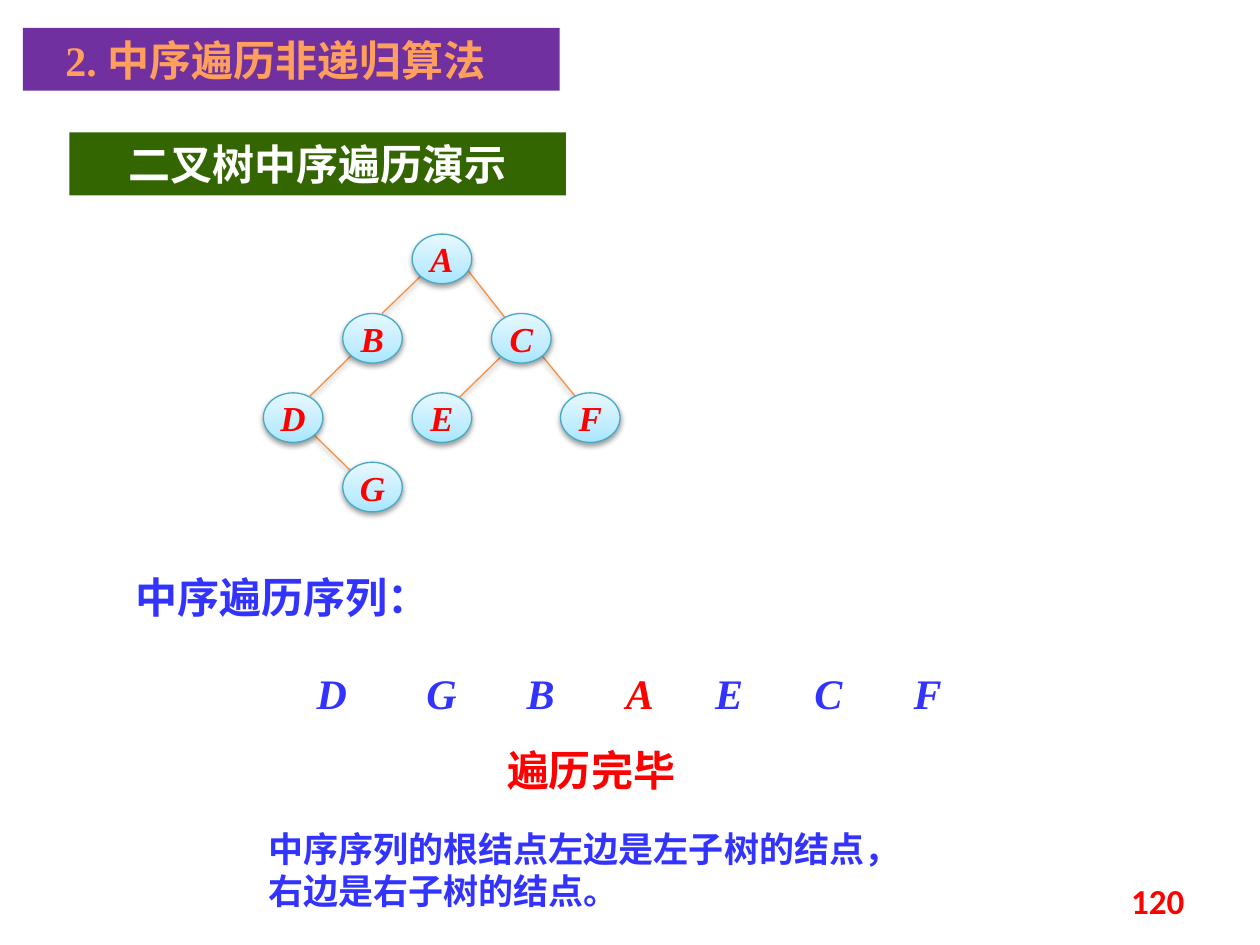
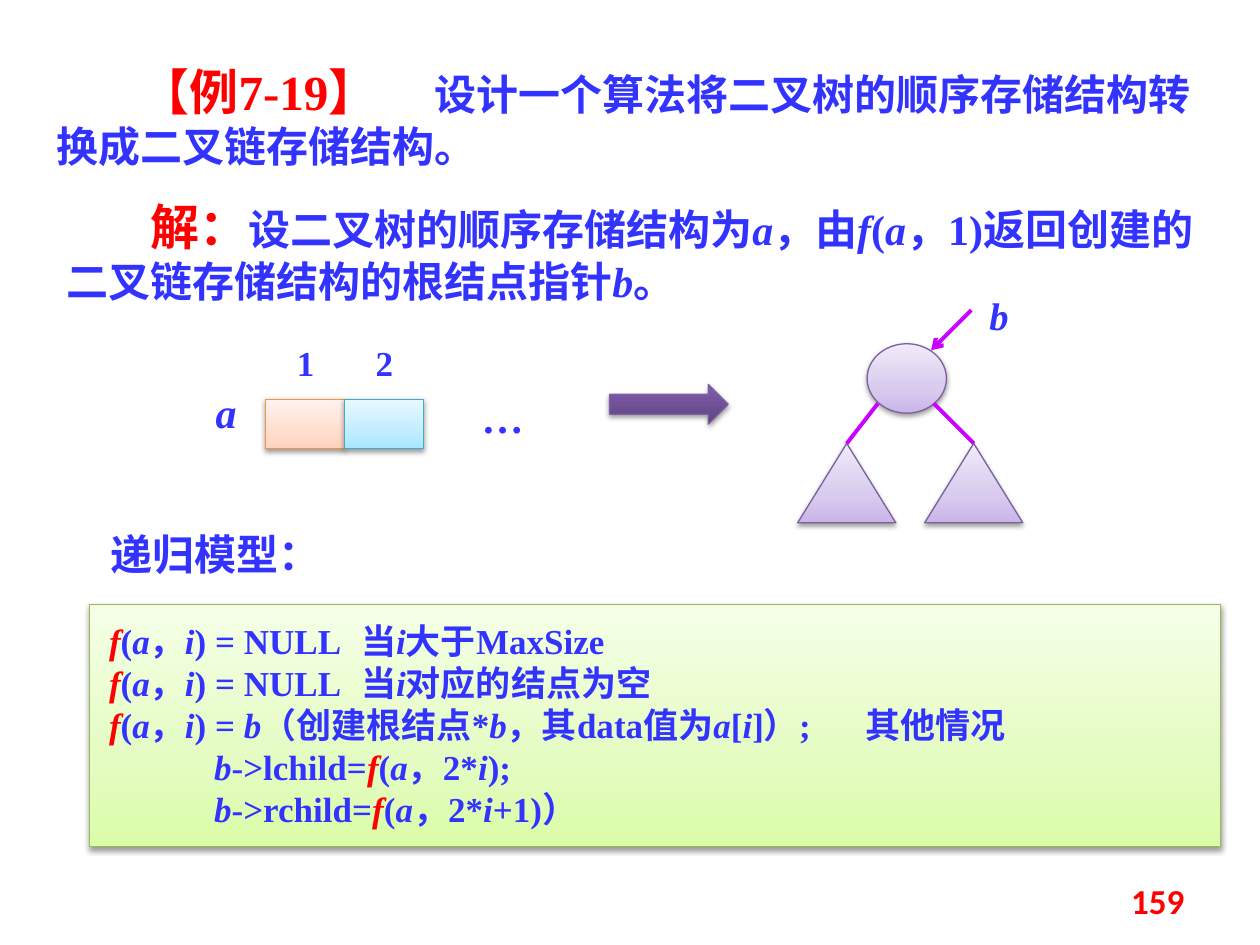
import dataclasses

import lxml.etree
import pptx
import pptx.dml.color
import pptx.enum.dml
import pptx.enum.shapes
import pptx.enum.text
import pptx.oxml.ns
import pptx.util

Cm = pptx.util.Cm
Pt = pptx.util.Pt
qn = pptx.oxml.ns.qn
Align = pptx.enum.text.PP_ALIGN
Anchor = pptx.enum.text.MSO_ANCHOR
Preset = pptx.enum.shapes.MSO_SHAPE

LATIN = "Times New Roman"
CHINESE = "Noto Sans CJK SC"
BLUE, RED, WHITE = "3333FF", "FF0000", "FFFFFF"
PURPLE, GREEN, MAGENTA, ORANGE = "7030A0", "336600", "CC00FF", "F69240"
TITLE_GLOW = [(0, "FFA367"), (25, "FF9F5D"), (50, "F38E3A"), (75, "FF9F5D"), (100, "FFA367")]
PEACH_LOOK = ([(0, "FFD2BD"), (35, "FFDED0"), (100, "FFF2ED")], ORANGE)
SKY_LOOK = ([(0, "A7E6FF"), (35, "C1EDFF"), (100, "E7F8FF")], "46AAC5")
LILAC_LOOK = ([(0, "C9B5E8"), (35, "D8CBEE"), (100, "F0EAF9")], "7D60A0")
LIME_LOOK = ([(0, "DAFDA7"), (35, "E4FCC2"), (100, "F5FFE7")], "98B955")
VIOLET_LOOK = ([(0, "5F4480"), (80, "7B58A6"), (100, "7C57A8")], "7D60A0")


@dataclasses.dataclass
class Span:
    text: str
    size: float = 24
    color: object = BLUE
    font: str = LATIN
    italic: bool = False
    bold: bool = True


def rgb(value):
    return pptx.dml.color.RGBColor.from_string(value)


def child(parent, tag, **attributes):
    element = lxml.etree.SubElement(parent, qn(tag))
    for name, value in attributes.items():
        element.set(name, str(value))
    return element


def paint_gradient(fill, owner, stops, angle):
    fill.gradient()
    fill.gradient_angle = angle
    stop_list = owner.find(".//" + qn("a:gsLst"))
    for stop in list(stop_list):
        stop_list.remove(stop)
    for position, color in stops:
        stop = child(stop_list, "a:gs", pos=position * 1000)
        child(stop, "a:srgbClr", val=color)


def add_shadow(effects):
    shadow = child(effects, "a:outerShdw", blurRad=Pt(3.1), dist=Pt(1.6),
                   dir=5400000, rotWithShape=0)
    child(child(shadow, "a:srgbClr", val="000000"), "a:alpha", val=38000)


def formula(pieces, size=24, f_color=BLUE):
    return [Span(piece, size, f_color if piece == "f" else BLUE,
                 italic=piece in ("a", "b", "f", "i")) for piece in pieces]


class Lecture:
    def __init__(self):
        self.deck = pptx.Presentation()
        self.deck.slide_width = Cm(25.4)
        self.deck.slide_height = Cm(19.05)
        self.page = None

    def new_page(self, number):
        self.page = self.deck.slides.add_slide(self.deck.slide_layouts[5])
        self.text((18.21, 17.65, 5.92, 1.02), [[Span(number, 20, RED, "Calibri")]],
                  align=Align.RIGHT, anchor=Anchor.MIDDLE)

    def set_text(self, shape, paragraphs, align=Align.LEFT, anchor=Anchor.TOP, wrap=True,
                 first_indent=0, tabs=()):
        frame = shape.text_frame
        frame.word_wrap = wrap
        frame.auto_size = pptx.enum.text.MSO_AUTO_SIZE.NONE
        frame.vertical_anchor = anchor
        for index, spans in enumerate(paragraphs):
            para = frame.paragraphs[0] if index == 0 else frame.add_paragraph()
            para.alignment = align
            properties = para._p.get_or_add_pPr()
            properties.set("marL", "0")
            properties.set("indent", str(Pt(first_indent)))
            if tabs:
                tab_list = child(properties, "a:tabLst")
                for tab in tabs:
                    child(tab_list, "a:tab", pos=Cm(tab), algn="l")
            for span in spans:
                self.add_span(para, span)
        return frame

    def add_span(self, para, span):
        run = para.add_run()
        run.text = span.text
        run.font.size = Pt(span.size)
        run.font.bold = span.bold
        run.font.italic = span.italic
        run.font.name = span.font
        if isinstance(span.color, str):
            run.font.color.rgb = rgb(span.color)
        else:
            paint_gradient(run.font.fill, run._r, span.color, 270)
        latin = run._r.find(".//" + qn("a:latin"))
        east = lxml.etree.Element(qn("a:ea"))
        east.set("typeface", CHINESE)
        latin.addnext(east)

    def title(self, place, spans, fill=None, **layout):
        box = self.page.shapes.title
        box.left, box.top, box.width, box.height = map(Cm, place)
        if fill:
            box.fill.solid()
            box.fill.fore_color.rgb = rgb(fill)
        return self.set_text(box, [spans], **layout)

    def text(self, place, paragraphs, **layout):
        box = self.page.shapes.add_textbox(*map(Cm, place))
        self.set_text(box, paragraphs, **layout)

    def label(self, place, span):
        self.text(place, [[span]], align=Align.CENTER)

    def band(self, place, span, fill):
        box = self.page.shapes.add_shape(Preset.RECTANGLE, *map(Cm, place))
        box.shadow.inherit = False
        box.fill.solid()
        box.fill.fore_color.rgb = rgb(fill)
        box.line.fill.background()
        self.set_text(box, [[span]], align=Align.CENTER)

    def glossy(self, preset, place, look):
        stops, line_color = look
        shape = self.page.shapes.add_shape(preset, *map(Cm, place))
        shape.shadow.inherit = False
        paint_gradient(shape.fill, shape._element.spPr, stops, 90)
        shape.line.color.rgb = rgb(line_color)
        shape.line.width = Pt(0.75)
        add_shadow(shape._element.spPr.find(qn("a:effectLst")))
        return shape

    def line(self, start, end, color, width, shadow=False, arrow=False):
        connector = self.page.shapes.add_connector(
            pptx.enum.shapes.MSO_CONNECTOR.STRAIGHT, *map(Cm, start + end))
        connector.line.color.rgb = rgb(color)
        connector.line.width = Pt(width)
        properties = connector._element.spPr
        if arrow:
            child(properties.find(qn("a:ln")), "a:tailEnd", type="arrow")
        effects = child(properties, "a:effectLst")
        if shadow:
            add_shadow(effects)
        return connector


def traversal_page(lecture):
    lecture.new_page("120")
    frame = lecture.title((0.46, 0.56, 10.82, 1.27),
                          [Span("2. 中序遍历非递归算法", color=TITLE_GLOW)],
                          fill=PURPLE, align=Align.CENTER)
    frame.margin_right = Cm(0.89)
    lecture.band((1.4, 2.67, 10.01, 1.27),
                 Span("二叉树中序遍历演示", color=WHITE, font=CHINESE), GREEN)

    edges = [
        ((8.51, 5.54), (7.7, 6.32)),
        ((9.4, 5.41), (10.24, 6.48)),
        ((7.11, 7.14), (6.1, 8.13)),
        ((10.08, 7.21), (9.27, 8)),
        ((10.9, 7.14), (11.71, 8.13)),
        ((6.3, 8.74), (7.11, 9.53)),
    ]
    for start, end in edges:
        lecture.line(start, end, ORANGE, 0.75, shadow=True)

    nodes = {"A": (8.31, 4.72), "B": (6.91, 6.32), "C": (9.91, 6.32), "D": (5.31, 7.92),
             "E": (8.31, 7.92), "F": (11.3, 7.92), "G": (6.91, 9.32)}
    for name, corner in nodes.items():
        node = lecture.glossy(Preset.OVAL, corner + (1.2, 1), SKY_LOOK)
        lecture.set_text(node, [[Span(name, 20, RED, italic=True)]], align=Align.CENTER,
                         anchor=Anchor.MIDDLE, wrap=False)

    lecture.text((2.49, 11.4, 7.21, 1.27), [[Span("中序遍历序列：", font=CHINESE)]])
    visited = zip("DGBAECF", (5.69, 7.9, 9.9, 11.9, 13.7, 15.7, 17.7))
    for name, left in visited:
        color = RED if name == "A" else BLUE
        lecture.label((left, 13.34, 2, 1.27), Span(name, color=color, italic=True))
    lecture.label((8.51, 14.88, 6.81, 1.27), Span("遍历完毕", color=RED, font=CHINESE))
    remarks = ("中序序列的根结点左边是左子树的结点，", "右边是右子树的结点。")
    lecture.text((5.16, 16.56, 16.46, 1.96),
                 [[Span(remark, 20, font=CHINESE)] for remark in remarks])


def conversion_page(lecture):
    lecture.new_page("159")
    lecture.title((0.89, 1.12, 23.52, 2.49),
                  [Span("【例7-19】", 28, RED),
                   Span("\t设计一个算法将二叉树的顺序存储结构转换成二叉链存储结构。")],
                  first_indent=48, tabs=[7.4])
    solution = formula(["设二叉树的顺序存储结构为", "a", "，由", "f", "(", "a",
                        "，1)返回创建的二叉链存储结构的根结点指针", "b", "。"])
    lecture.text((1.09, 3.84, 23.52, 2.49), [[Span("解：", 28, RED)] + solution],
                 first_indent=48)

    for index, look in enumerate((PEACH_LOOK, SKY_LOOK)):
        left = 5.36 + 1.59 * index
        lecture.glossy(Preset.RECTANGLE, (left, 8.05, 1.59, 1), look)
        lecture.label((left + 0.2, 6.76, 1.2, 1.12), Span(str(index + 1), 20))
    lecture.label((3.96, 7.67, 1.2, 1.27), Span("a", italic=True))
    lecture.label((8.94, 7.77, 2.39, 1.27), Span("…"))
    lecture.glossy(Preset.RIGHT_ARROW, (12.29, 7.75, 2.39, 0.8), VIOLET_LOOK)

    lecture.glossy(Preset.OVAL, (17.48, 6.93, 1.6, 1.4), LILAC_LOOK)
    lecture.line((19.58, 6.25), (18.77, 7.06), MAGENTA, 2.25, arrow=True)
    lecture.label((19.25, 5.77, 1.78, 1.19), Span("b", 22, italic=True))
    for left, start in ((16.08, (17.7, 8.13)), (18.64, (18.82, 8.13))):
        subtree = lecture.glossy(Preset.ISOSCELES_TRIANGLE, (left, 8.94, 1.98, 1.6),
                                 LILAC_LOOK)
        branch = lecture.line(start, (left + 0.99, 8.94), MAGENTA, 2.25)
        branch.end_connect(subtree, 0)

    lecture.text((1.98, 10.52, 5.36, 1.27), [[Span("递归模型：", font=CHINESE)]])
    call = ["f", "(", "a", "，"]
    head = call + ["i"]
    model = [
        head + [") = NULL\t当", "i", "大于MaxSize"],
        head + [") = NULL\t当", "i", "对应的结点为空"],
        head + [") = ", "b", "（创建根结点*", "b", "，其data值为", "a", "[", "i",
                "]）;\t其他情况"],
        ["b", "->lchild="] + call + ["2*", "i", ");"],
        ["b", "->rchild="] + call + ["2*", "i", "+1)）"],
    ]
    panel = lecture.glossy(Preset.RECTANGLE, (1.8, 12.19, 22.81, 4.88), LIME_LOOK)
    frame = lecture.set_text(panel, [formula(pieces, 20, RED) for pieces in model],
                             tabs=[15.24, 17.78])
    frame.margin_left = frame.margin_right = Cm(0.4)
    frame.margin_top = frame.margin_bottom = Cm(0.3)
    for para in frame.paragraphs[3:]:
        para._p.pPr.set("marL", str(Pt(60)))


def main():
    lecture = Lecture()
    traversal_page(lecture)
    conversion_page(lecture)
    lecture.deck.save("out.pptx")


if __name__ == "__main__":
    main()
